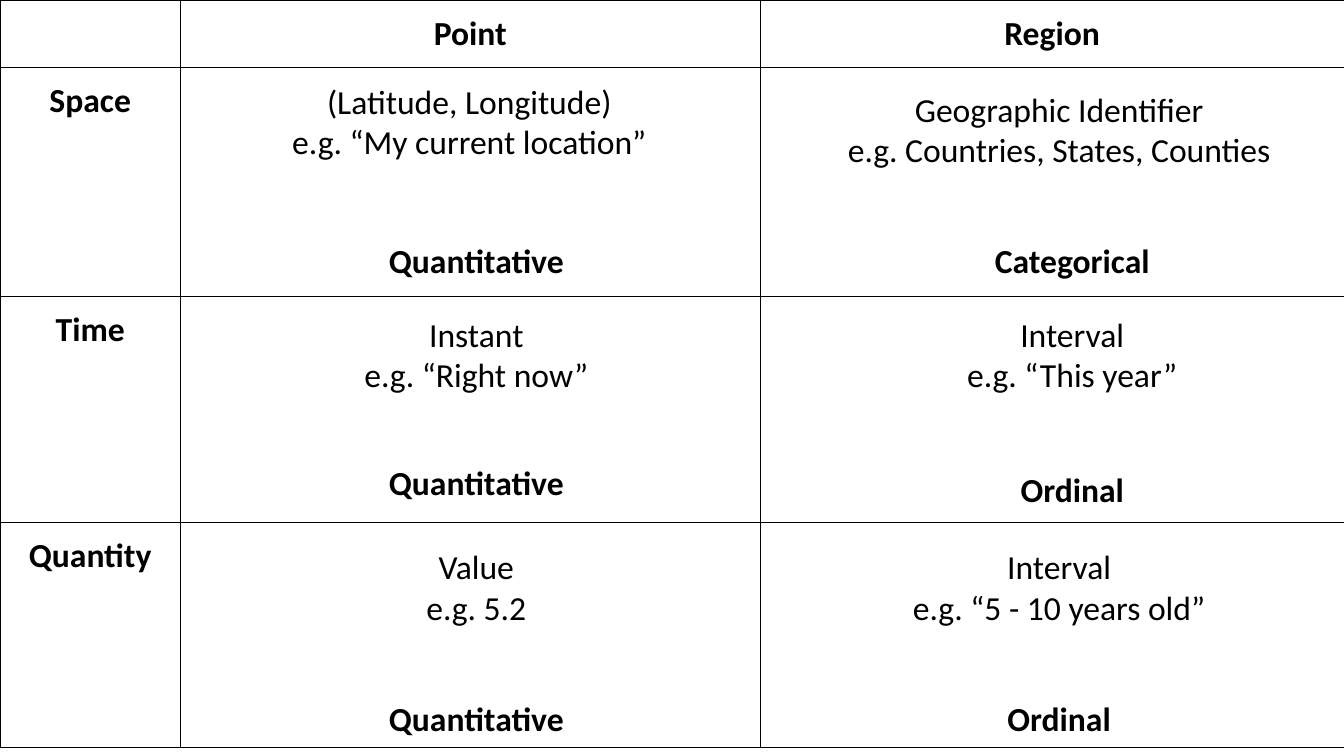
import pptx
import pptx.util
import pptx.dml.color
import pptx.enum.text
import pptx.oxml
import pptx.oxml.ns
import lxml.etree

Inches = pptx.util.Inches
COLORS = {"ink": "000000", "paper": "FFFFFF"}
FONT = "Calibri"
PAD = 0.13
COLS = [1.79, 5.75, 5.79]
ROWS = [0.67, 2.27, 2.24, 2.24]
HEADS = ["Point", "Region"]
SIDES = ["Space", "Time", "Quantity"]
NOTES = [
    ("(Latitude, Longitude)\ne.g. “My current location”", 1.89, 0.67),
    ("Geographic Identifier\ve.g. Countries, States, Counties", 7.74, 0.75),
    ("Instant\ne.g. “Right now”", 1.96, 2.98),
    ("Interval\ne.g. “This year”", 7.87, 2.98),
    ("Value\ve.g. 5.2", 1.96, 5.29),
    ("Interval\ne.g. “5 - 10 years old”", 7.74, 5.29),
]
KINDS = [
    ("Quantitative", 2.66, 2.25),
    ("Categorical", 8.57, 2.25),
    ("Quantitative", 2.66, 4.45),
    ("Ordinal", 8.57, 4.52),
    ("Quantitative", 2.66, 6.79),
    ("Ordinal", 8.44, 6.79),
]


def rgb(name):
    """Return the named colour."""
    return pptx.dml.color.RGBColor.from_string(COLORS[name])


def write(frame, text, size=24, bold=False, color="ink"):
    """Fill a text frame with centred, formatted paragraphs."""
    frame.text = text
    frame.word_wrap = True
    for para in frame.paragraphs:
        para.alignment = pptx.enum.text.PP_ALIGN.CENTER
        for run in para.runs:
            run.font.name = FONT
            run.font.size = pptx.util.Pt(size)
            run.font.bold = bold
            run.font.color.rgb = rgb(color)


def inset(item):
    """Give a cell or text frame even margins."""
    item.margin_left = item.margin_right = Inches(PAD)
    item.margin_top = item.margin_bottom = Inches(PAD)


def rule(cell, width=0.75):
    """Draw a thin line on every side of a cell."""
    props = cell._tc.get_or_add_tcPr()
    for place, side in enumerate(("lnL", "lnR", "lnT", "lnB")):
        line = lxml.etree.Element(pptx.oxml.ns.qn("a:" + side),
                                  w=str(pptx.util.Pt(width)))
        fill = lxml.etree.SubElement(line, pptx.oxml.ns.qn("a:solidFill"))
        lxml.etree.SubElement(fill, pptx.oxml.ns.qn("a:srgbClr"),
                              val=COLORS["ink"])
        props.insert(place, line)


def add_grid(slide, left, top, width, height):
    """Add the ruled table with its row and column heads."""
    frame = slide.shapes.add_table(len(ROWS), len(COLS), Inches(left),
                                   Inches(top), Inches(width), Inches(height))
    table = frame.table
    for col, size in zip(table.columns, COLS):
        col.width = Inches(size)
    for row, size in zip(table.rows, ROWS):
        row.height = Inches(size)
    for cell in table.iter_cells():
        inset(cell)
        cell.fill.solid()
        cell.fill.fore_color.rgb = rgb("paper")
        rule(cell)
    for col, text in enumerate(HEADS, 1):
        write(table.cell(0, col).text_frame, text, bold=True)
    for row, text in enumerate(SIDES, 1):
        write(table.cell(row, 0).text_frame, text, bold=True)


def add_label(slide, text, left, top, width, height, **style):
    """Add one text box in the given box."""
    box = slide.shapes.add_textbox(Inches(left), Inches(top),
                                   Inches(width), Inches(height))
    inset(box.text_frame)
    write(box.text_frame, text, **style)


def main():
    """Build and save the slide."""
    deck = pptx.Presentation()
    deck.slide_width = Inches(13.33)
    deck.slide_height = Inches(7.5)
    slide = deck.slides.add_slide(deck.slide_layouts[6])
    add_grid(slide, 0, 0, sum(COLS), sum(ROWS))
    for note, kind in zip(NOTES, KINDS):
        add_label(slide, *note, 5.53, 1.03)
        add_label(slide, *kind, 4.13, 0.63, bold=True)
    deck.save("out.pptx")


if __name__ == "__main__":
    main()
